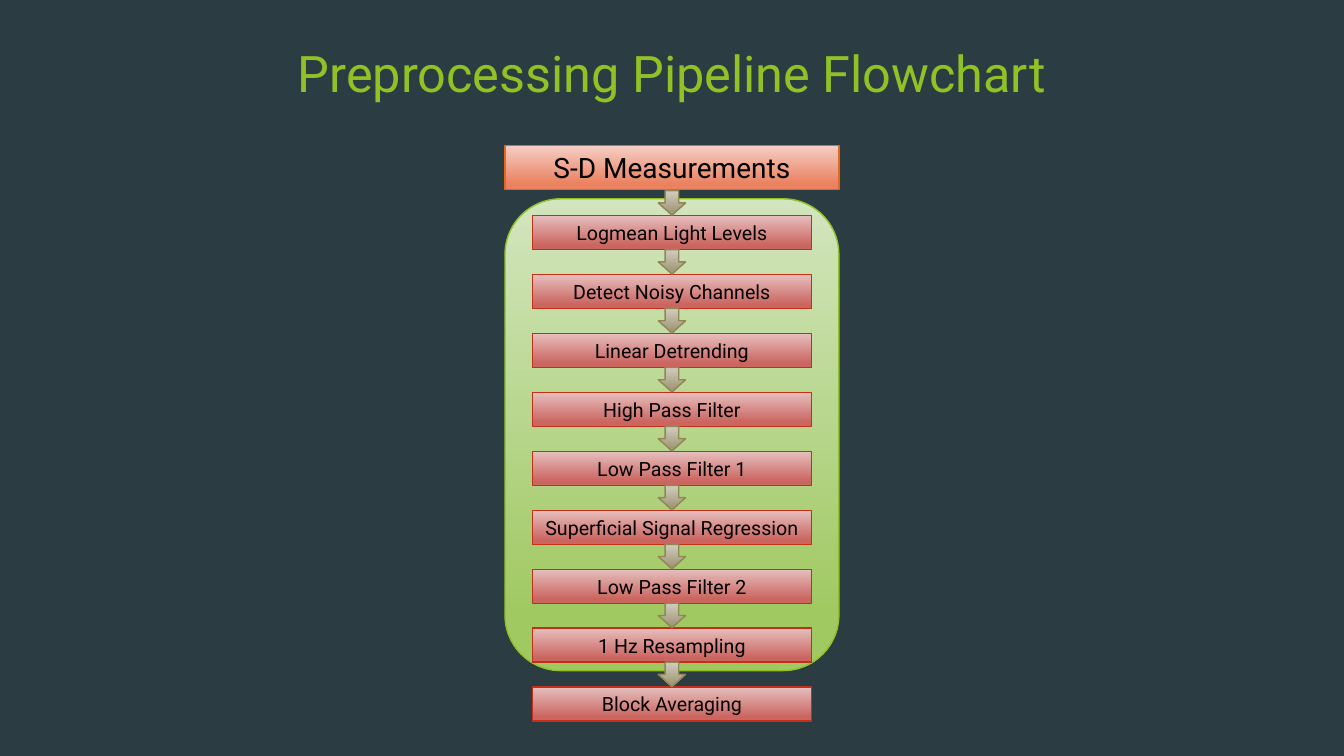
from dataclasses import dataclass

from pptx import Presentation
from pptx import util as u
from pptx.dml import color
from pptx.enum import shapes, text

COLORS = {
    "bg": "2C3C43", "title": "90C226", "text": "000000",
    "panel_top": "D3E5BE", "panel_bottom": "A0C962", "panel_line": "90C226",
    "input_top": "F5CEC5", "input_bottom": "EA815F", "input_line": "E76618",
    "step_top": "E6BFBE", "step_bottom": "CB6560", "step_line": "C42F1A",
    "arrow_top": "D1CDC0", "arrow_bottom": "A19877", "arrow_line": "918655",
}
FONT = "Roboto"
CENTER = 480
FIRST_TOP = 154
PITCH = 42.1
ARROW_RISE = 17.8
STEPS = [
    "Logmean Light Levels",
    "Detect Noisy Channels",
    "Linear Detrending",
    "High Pass Filter",
    "Low Pass Filter 1",
    "Superficial Signal Regression",
    "Low Pass Filter 2",
    "1 Hz Resampling",
    "Block Averaging",
]


@dataclass(frozen=True)
class Kind:
    palette: str
    preset: shapes.MSO_SHAPE
    width: float
    height: float
    size: float = 14


PANEL = Kind("panel", shapes.MSO_SHAPE.ROUNDED_RECTANGLE, 238.5, 337)
INPUT = Kind("input", shapes.MSO_SHAPE.RECTANGLE, 238.5, 31.5, 20)
STEP = Kind("step", shapes.MSO_SHAPE.RECTANGLE, 199.5, 24.3)
ARROW = Kind("arrow", shapes.MSO_SHAPE.DOWN_ARROW, 19.5, 17.5)


def rgb(name: str) -> color.RGBColor:
    return color.RGBColor.from_string(COLORS[name])


def write(sp, words: str, size: float, ink: str) -> None:
    tf = sp.text_frame
    tf.word_wrap = True
    tf.vertical_anchor = text.MSO_ANCHOR.MIDDLE
    p = tf.paragraphs[0]
    p.text = words
    p.alignment = text.PP_ALIGN.CENTER
    p.font.name = FONT
    p.font.size = u.Pt(size)
    p.font.color.rgb = rgb(ink)


def draw(grp, kind: Kind, top: float, words: str = "") -> None:
    sp = grp.shapes.add_shape(
        kind.preset, u.Pt(CENTER - kind.width / 2), u.Pt(top),
        u.Pt(kind.width), u.Pt(kind.height))
    sp.shadow.inherit = False
    sp.fill.gradient()
    sp.fill.gradient_angle = 270
    ends = ((0, "top"), (0.88, "bottom"))
    for stop, (position, end) in zip(sp.fill.gradient_stops, ends):
        stop.position = position
        stop.color.rgb = rgb(f"{kind.palette}_{end}")
    sp.line.color.rgb = rgb(f"{kind.palette}_line")
    sp.line.width = u.Pt(1)
    if words:
        write(sp, words, kind.size, "text")


def main() -> None:
    prs = Presentation()
    prs.slide_width, prs.slide_height = u.Pt(960), u.Pt(540)
    s = prs.slides.add_slide(prs.slide_layouts[6])
    s.background.fill.solid()
    s.background.fill.fore_color.rgb = rgb("bg")

    title = s.shapes.add_textbox(u.Pt(142), 0, u.Pt(676), u.Pt(104))
    write(title, "Preprocessing Pipeline Flowchart", 36, "title")

    grp = s.shapes.add_group_shape()
    draw(grp, PANEL, 142)
    draw(grp, INPUT, 104, "S-D Measurements")
    tops = [FIRST_TOP + i * PITCH for i in range(len(STEPS))]
    for top, words in zip(tops, STEPS):
        draw(grp, STEP, top, words)
    for top in tops:
        draw(grp, ARROW, top - ARROW_RISE)

    prs.save("out.pptx")


if __name__ == "__main__":
    main()
